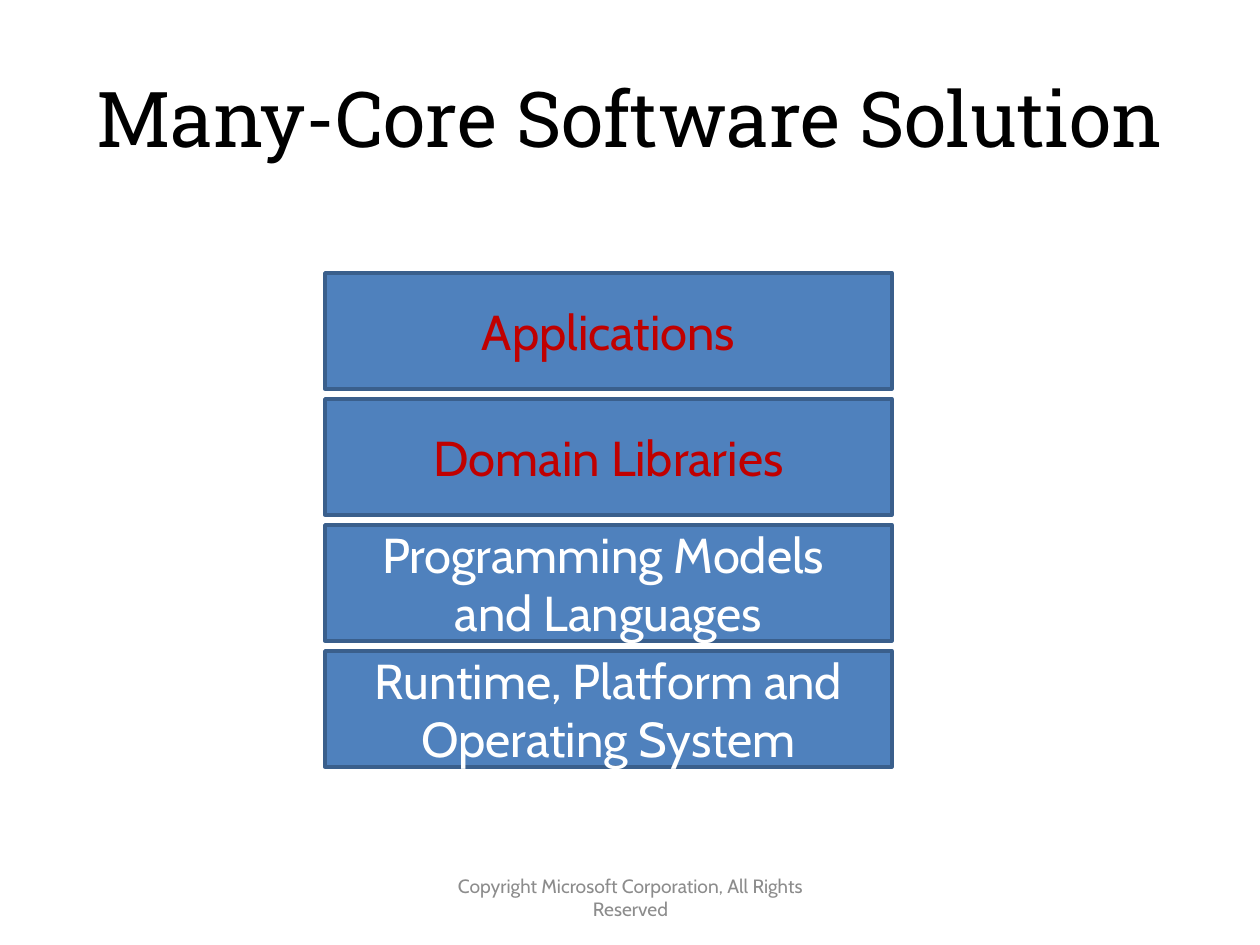
from pptx import Presentation
from pptx import util as u
from pptx.dml.color import RGBColor
from pptx.enum import shapes, text

PX = u.Inches(1) // 126
BLACK = RGBColor(0x00, 0x00, 0x00)
WHITE = RGBColor(0xFF, 0xFF, 0xFF)
RED = RGBColor(0xC0, 0x00, 0x00)
BLUE = RGBColor(0x4F, 0x81, 0xBD)
NAVY = RGBColor(0x3A, 0x5F, 0x8C)
GRAY = RGBColor(0x8C, 0x8C, 0x8C)
HEAD, BODY = "Roboto Slab", "Cabin"

# Content
TITLE = "Many-Core Software Solution"
LAYERS = [
    (["Applications"], RED),
    (["Domain Libraries"], RED),
    (["Programming Models ", "and Languages"], WHITE),
    (["Runtime, Platform and", "Operating System"], WHITE),
]
FOOTER = "Copyright Microsoft Corporation, All Rights Reserved"

# Places in px: left, top, width, height
TITLE_BOX = (63, 38, 1134, 157)
FIRST_BOX = (325, 273, 567, 116)
STEP = 126
FOOTER_BOX = (431, 872, 399, 50)


def scale(box):
    return [n * PX for n in box]


def write(shape, lines, font, size, color):
    frame = shape.text_frame
    frame.word_wrap = True
    frame.vertical_anchor = text.MSO_ANCHOR.MIDDLE
    for i, line in enumerate(lines):
        para = frame.add_paragraph() if i else frame.paragraphs[0]
        para.alignment = text.PP_ALIGN.CENTER
        run = para.add_run()
        run.text = line
        run.font.name = font
        run.font.size = u.Pt(size)
        run.font.color.rgb = color


deck = Presentation()
deck.slide_width, deck.slide_height = scale((1260, 945))
slide = deck.slides.add_slide(deck.slide_layouts[6])

# Title
title = slide.shapes.add_textbox(*scale(TITLE_BOX))
write(title, [TITLE], HEAD, 44, BLACK)

# Stack of software layers
left, top, width, height = FIRST_BOX
for i, (lines, color) in enumerate(LAYERS):
    place = scale((left, top + i * STEP, width, height))
    layer = slide.shapes.add_shape(shapes.MSO_SHAPE.RECTANGLE, *place)
    layer.shadow.inherit = False
    layer.fill.solid()
    layer.fill.fore_color.rgb = BLUE
    layer.line.color.rgb = NAVY
    layer.line.width = u.Pt(2)
    write(layer, lines, BODY, 28, color)

# Footer
footer = slide.shapes.add_textbox(*scale(FOOTER_BOX))
write(footer, [FOOTER], BODY, 11, GRAY)

deck.save("out.pptx")
